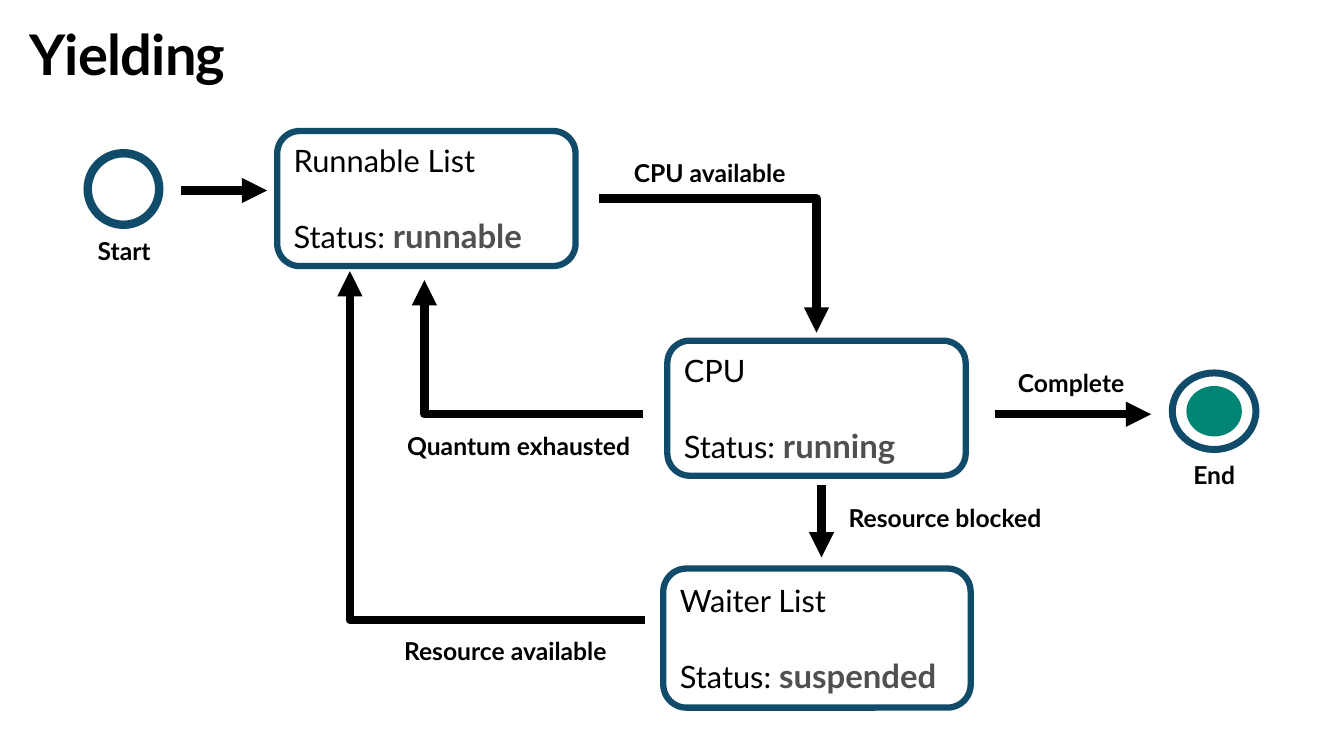
from lxml import etree
from pptx import Presentation
from pptx import util as u
from pptx.dml.color import RGBColor
from pptx.enum import shapes, text
from pptx.oxml.ns import qn

COLORS = {"black": "000000", "white": "FFFFFF", "navy": "104C6A",
          "teal": "008575", "grey": "505050"}
FONT = "Lato"
WIDTH, HEIGHT = u.Inches(13.33), u.Inches(7.5)
COLS, ROWS = 40, 22.5  # grid over the whole slide


def x(col):
    return u.Emu(round(WIDTH * col / COLS))


def y(row):
    return u.Emu(round(HEIGHT * row / ROWS))


def rgb(name):
    return RGBColor.from_string(COLORS[name])


def add_run(p, words, size, color="black", bold=False):
    r = p.add_run()
    r.text = words
    r.font.name = FONT
    r.font.size = u.Pt(size)
    r.font.bold = bold
    r.font.color.rgb = rgb(color)
    return r


def add_title(slide, words):
    sp = slide.shapes.add_textbox(x(0.87), y(1.08), x(38.25), y(1.53))
    tf = sp.text_frame
    tf.word_wrap = True
    tf.margin_left = tf.margin_right = tf.margin_top = tf.margin_bottom = 0
    p = tf.paragraphs[0]
    p.line_spacing = u.Pt(36.2)
    r = add_run(p, words, 40, bold=True)
    r.font._element.set("spc", "-50")


def add_label(slide, words, col, row, cols):
    sp = slide.shapes.add_textbox(x(col), y(row), x(cols), y(1.2))
    tf = sp.text_frame
    tf.word_wrap = False
    tf.auto_size = text.MSO_AUTO_SIZE.SHAPE_TO_FIT_TEXT
    add_run(tf.paragraphs[0], words, 17.6, bold=True)


def add_outline(slide, kind, col, row, cols, rows, fill=None, line=None):
    sp = slide.shapes.add_shape(kind, x(col), y(row), x(cols), y(rows))
    sp.shadow.inherit = False
    if fill:
        sp.fill.solid()
        sp.fill.fore_color.rgb = rgb(fill)
    else:
        sp.fill.background()
    if line:
        sp.line.color.rgb = rgb("navy")
        sp.line.width = u.Pt(line)
    else:
        sp.line.fill.background()
    return sp


def add_circle(slide, *place, **style):
    add_outline(slide, shapes.MSO_SHAPE.OVAL, *place, **style)


def add_state(slide, name, status, *place):
    sp = add_outline(slide, shapes.MSO_SHAPE.ROUNDED_RECTANGLE, *place,
                     fill="white", line=4.5)
    tf = sp.text_frame
    tf.word_wrap = True
    tf.vertical_anchor = text.MSO_ANCHOR.MIDDLE
    heading, detail = tf.paragraphs[0], tf.add_paragraph()
    heading.alignment = detail.alignment = text.PP_ALIGN.LEFT
    detail.space_before = u.Pt(26.4)
    add_run(heading, name, 22)
    add_run(detail, "Status: ", 22)
    add_run(detail, status, 23.5, "grey", bold=True)


def add_arrow(slide, start, end):
    """Straight arrow, or one that runs across and then turns once."""
    bent = start[0] != end[0] and start[1] != end[1]
    turned = bent and end[0] < start[0]
    first, last = (end, start) if turned else (start, end)
    kind = shapes.MSO_CONNECTOR.ELBOW if bent else shapes.MSO_CONNECTOR.STRAIGHT
    cx = slide.shapes.add_connector(kind, x(first[0]), y(first[1]),
                                    x(last[0]), y(last[1]))
    cx.line.color.rgb = rgb("black")
    cx.line.width = u.Pt(6)
    sp_pr = cx._element.spPr
    if bent:
        sp_pr.find(qn("a:prstGeom")).set("prst", "bentConnector2")
    if turned:  # half a turn swaps the two ends
        sp_pr.find(qn("a:xfrm")).set("rot", "10800000")
    etree.SubElement(sp_pr.find(qn("a:ln")), qn("a:tailEnd"), type="triangle")
    etree.SubElement(sp_pr, qn("a:effectLst"))


def main():
    prs = Presentation()
    prs.slide_width, prs.slide_height = WIDTH, HEIGHT
    slide = prs.slides.add_slide(prs.slide_layouts[6])
    add_title(slide, "Yielding")

    # Start and end markers
    add_circle(slide, 2.61, 4.56, 2.13, 2.13, fill="white", line=6)
    add_circle(slide, 35.31, 11.49, 1.65, 1.5, fill="teal")
    add_circle(slide, 34.89, 11.1, 2.49, 2.28, line=5)

    # Transitions
    for start, end in [
        ((5.4, 5.67), (7.95, 5.67)),
        ((29.61, 12.33), (34.26, 12.33)),
        ((24.45, 14.43), (24.45, 16.59)),
        ((19.2, 18.45), (10.41, 8.07)),
        ((17.82, 5.91), (24.3, 9.9)),
        ((19.14, 12.33), (12.63, 8.34)),
    ]:
        add_arrow(slide, start, end)

    # Labels: words, column, row, columns wide
    for label in [
        ("Start", 2.61, 6.87, 2.28),
        ("End", 35.22, 13.53, 1.89),
        ("CPU available", 18.57, 4.56, 5.34),
        ("Quantum exhausted", 11.82, 12.69, 7.65),
        ("Resource available", 11.73, 18.78, 7.02),
        ("Resource blocked", 24.96, 14.82, 6.69),
        ("Complete", 30, 10.8, 3.96),
    ]:
        add_label(slide, *label)

    # States: name, status, column, row, columns wide, rows high
    for state in [
        ("Runnable List", "runnable", 8.25, 3.9, 8.88, 4.02),
        ("CPU", "running", 19.86, 10.14, 8.88, 4.02),
        ("Waiter List", "suspended", 19.74, 16.92, 9.15, 4.14),
    ]:
        add_state(slide, *state)

    prs.save("out.pptx")


if __name__ == "__main__":
    main()
